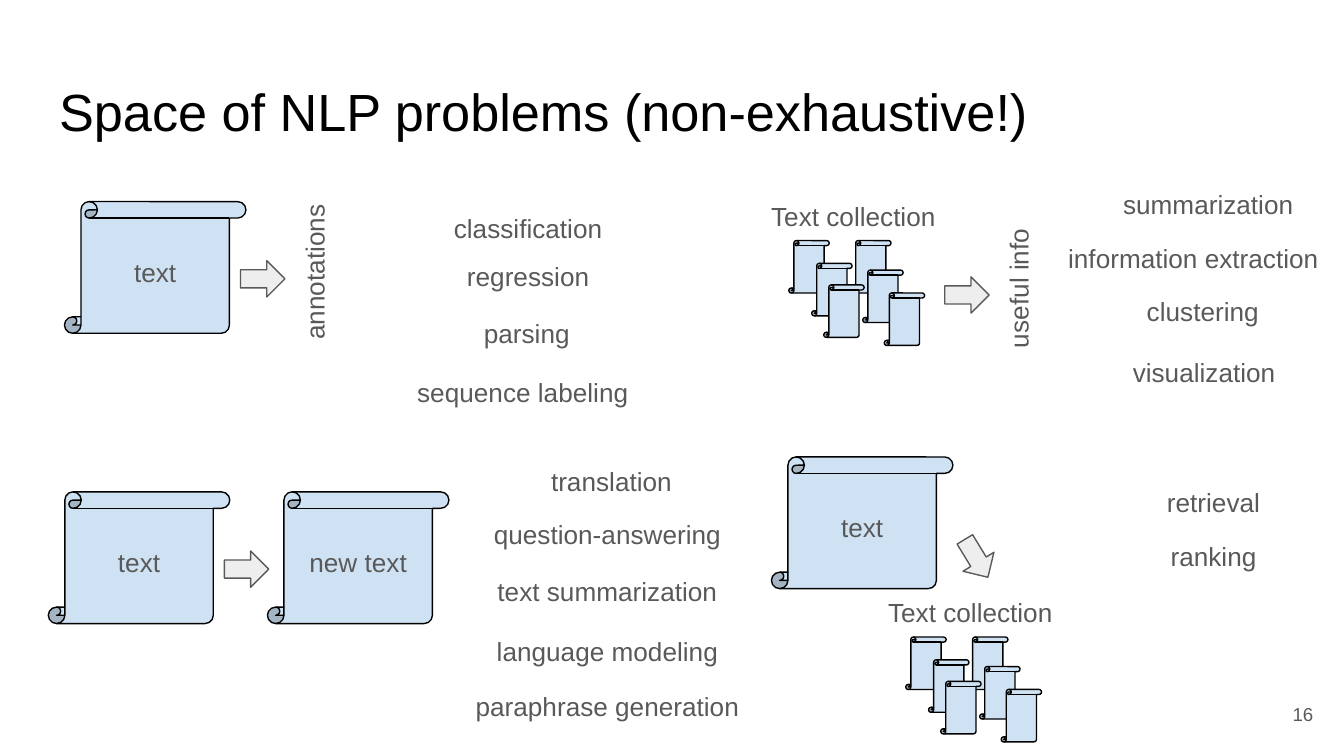
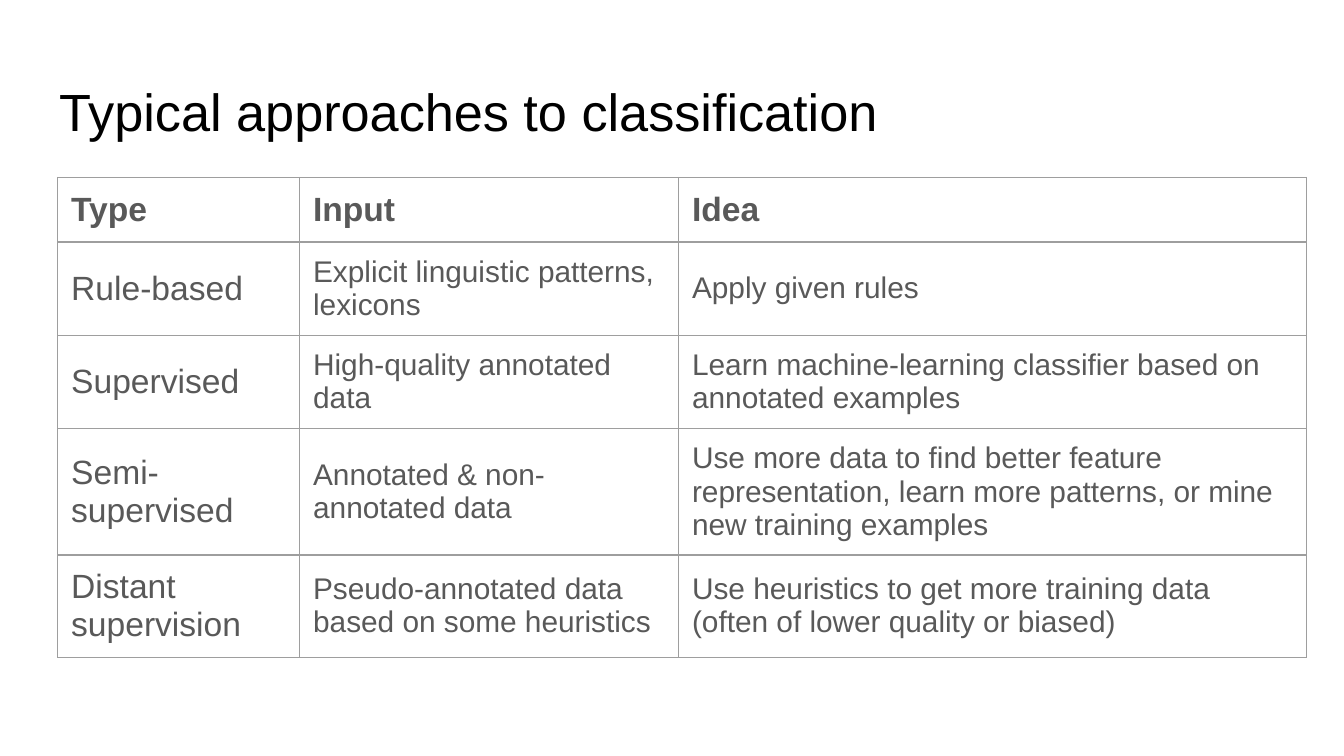
from dataclasses import dataclass
from typing import Any, NamedTuple

from lxml import etree
from pptx import Presentation
from pptx import util as u
from pptx.dml.color import RGBColor
from pptx.enum import shapes, text
from pptx.oxml.ns import qn

UNIT = u.Inches(0.1)
COLUMNS, ROWS = 100, 56.25
ALIGN, ANCHOR = text.PP_ALIGN, text.MSO_ANCHOR
SHAPE = shapes.MSO_SHAPE


@dataclass(frozen=True)
class Theme:
    font: str = "Arial"
    title_ink: str = "000000"
    ink: str = "595959"
    scroll_fill: str = "CFE2F3"
    scroll_line: str = "000000"
    arrow_fill: str = "EEEEEE"
    border: str = "9E9E9E"
    line_width: float = 0.75
    title_size: int = 28
    heading_size: int = 18
    cell_size: int = 16
    label_size: int = 14
    number_size: int = 10


class Box(NamedTuple):
    column: float
    row: float
    width: float
    height: float


class Spot(NamedTuple):
    column: float
    row: float

    def shifted(self, columns: float, rows: float) -> "Spot":
        return Spot(self.column + columns, self.row + rows)

    def sized(self, width: float, height: float) -> Box:
        return Box(*self, width, height)


class Label(NamedTuple):
    words: str
    spot: Spot
    width: float = 22


class Scroll(NamedTuple):
    words: str
    spot: Spot


class Arrow(NamedTuple):
    spot: Spot
    result: str = ""
    rotation: float = 0


THEME = Theme()
TITLE_BOX = Box(3.4, 4.9, 93.2, 6.3)
NUMBER_BOX = Box(92.7, 51, 6, 4.3)
SCROLL_SIZE, SMALL_SCROLL_SIZE = (13.5, 9.8), (3, 3.9)
ARROW_SIZE, RESULT_SIZE = (3.3, 2.7), (14.5, 4.5)
LABEL_HEIGHT = 4.5
FRAME_FORMAT = dict(
    word_wrap=True, auto_size=text.MSO_AUTO_SIZE.NONE,
    margin_left=UNIT, margin_right=UNIT, margin_top=UNIT, margin_bottom=UNIT,
)

SCROLLS = [
    Scroll("text", Spot(4.8, 15)),
    Scroll("text", Spot(3.6, 36.6)),
    Scroll("new text", Spot(19.9, 36.6)),
    Scroll("text", Spot(57.4, 34)),
]
ARROWS = [
    Arrow(Spot(17.9, 19.4), "annotations"),
    Arrow(Spot(16.7, 41)),
    Arrow(Spot(70.3, 20.6), "useful info"),
    Arrow(Spot(71, 40.2), rotation=58.6),
]
COLLECTIONS = [Spot(58.7, 17.9), Spot(67.4, 47.4)]
PILE = [(0, 0), (1.7, 1.7), (4.6, 0), (5.5, 2.2), (2.6, 3.3), (7.1, 3.9)]
PROBLEMS = [
    Label("classification", Spot(28.3, 14.8)),
    Label("regression", Spot(28.3, 18.4)),
    Label("parsing", Spot(28.2, 22.6)),
    Label("sequence labeling", Spot(27.9, 27)),
    Label("summarization", Spot(78.9, 13)),
    Label("information extraction", Spot(77.8, 17)),
    Label("clustering", Spot(78.5, 21)),
    Label("visualization", Spot(78.6, 25.5)),
    Label("translation", Spot(34.5, 33.6)),
    Label("question-answering", Spot(34.2, 37.6)),
    Label("text summarization", Spot(34.2, 41.8)),
    Label("language modeling", Spot(34.2, 46.3)),
    Label("paraphrase generation", Spot(34.2, 50.4)),
    Label("retrieval", Spot(81.5, 35.2), 17.6),
    Label("ranking", Spot(81.5, 39.2), 17.6),
]

TABLE_SPOT = Spot(4.3, 13.2)
TABLE_COLUMNS = [18, 28.2, 46.7]
TABLE_ROWS = [4.4, 5.6, 6.6, 9, 7.1]
APPROACHES = [
    ("Type", "Input", "Idea"),
    ("Rule-based", "Explicit linguistic patterns, lexicons", "Apply given rules"),
    ("Supervised", "High-quality annotated data",
     "Learn machine-learning classifier based on annotated examples"),
    ("Semi-\nsupervised", "Annotated & non-annotated data",
     "Use more data to find better feature representation, "
     "learn more patterns, or mine new training examples"),
    ("Distant supervision", "Pseudo-annotated data based on some heuristics",
     "Use heuristics to get more training data (often of lower quality or biased)"),
]


def grid(cells: float) -> int:
    return round(cells * UNIT)


def place(box: Box) -> list[int]:
    return [grid(length) for length in box]


def apply(target: Any, values: dict[str, Any]) -> None:
    for name, value in values.items():
        setattr(target, name, value)


def write(frame: Any, words: str, size: int, align: Any, ink: str = THEME.ink,
          bold: bool = False) -> None:
    para = frame.paragraphs[0]
    para.text = words
    para.alignment = align
    for span in para.runs:
        apply(span.font, dict(name=THEME.font, size=u.Pt(size), bold=bold))
        span.font.color.rgb = RGBColor.from_string(ink)


def add_text(page: Any, words: str, box: Box, size: int = THEME.label_size,
             align: Any = ALIGN.CENTER, anchor: Any = ANCHOR.TOP, rotation: float = 0) -> None:
    area = page.shapes.add_textbox(*place(box))
    area.rotation = rotation
    apply(area.text_frame, FRAME_FORMAT | dict(vertical_anchor=anchor))
    write(area.text_frame, words, size, align)


def add_shape(page: Any, preset: Any, box: Box, fill: str, line: str) -> Any:
    shape = page.shapes.add_shape(preset, *place(box))
    shape.shadow.inherit = False
    shape.fill.solid()
    shape.fill.fore_color.rgb = RGBColor.from_string(fill)
    shape.line.color.rgb = RGBColor.from_string(line)
    shape.line.width = u.Pt(THEME.line_width)
    return shape


def add_scroll(page: Any, box: Box, words: str = "") -> None:
    shape = add_shape(page, SHAPE.VERTICAL_SCROLL, box, THEME.scroll_fill, THEME.scroll_line)
    if words:
        apply(shape.text_frame, FRAME_FORMAT | dict(vertical_anchor=ANCHOR.MIDDLE))
        write(shape.text_frame, words, THEME.label_size, ALIGN.CENTER)


def add_arrow(page: Any, arrow: Arrow) -> None:
    shape = add_shape(page, SHAPE.RIGHT_ARROW, arrow.spot.sized(*ARROW_SIZE),
                      THEME.arrow_fill, THEME.ink)
    shape.rotation = arrow.rotation
    if arrow.result:
        box = arrow.spot.shifted(-1.7, -1.4).sized(*RESULT_SIZE)
        add_text(page, arrow.result, box, rotation=270)


def add_collection(page: Any, spot: Spot) -> None:
    for offset in PILE:
        add_scroll(page, spot.shifted(*offset).sized(*SMALL_SCROLL_SIZE))
    add_text(page, "Text collection", spot.shifted(-6.2, -4).sized(22, LABEL_HEIGHT))


def add_page(deck: Any, heading: str) -> Any:
    page = deck.slides.add_slide(deck.slide_layouts.get_by_name("Title Only"))
    title = page.shapes.title
    apply(title, dict(zip(("left", "top", "width", "height"), place(TITLE_BOX))))
    apply(title.text_frame, FRAME_FORMAT | dict(vertical_anchor=ANCHOR.TOP))
    write(title.text_frame, heading, THEME.title_size, ALIGN.LEFT, THEME.title_ink)
    return page


def add_borders(cell: Any) -> None:
    props = cell._tc.get_or_add_tcPr()
    for position, side in enumerate(("lnL", "lnR", "lnT", "lnB")):
        line = etree.Element(qn(f"a:{side}"), w=str(u.Pt(THEME.line_width)))
        fill = etree.SubElement(line, qn("a:solidFill"))
        etree.SubElement(fill, qn("a:srgbClr"), val=THEME.border)
        props.insert(position, line)


def add_approaches(page: Any) -> None:
    box = TABLE_SPOT.sized(sum(TABLE_COLUMNS), sum(TABLE_ROWS))
    table = page.shapes.add_table(len(TABLE_ROWS), len(TABLE_COLUMNS), *place(box)).table
    apply(table, dict(first_row=False, horz_banding=False))
    for column, width in zip(table.columns, TABLE_COLUMNS):
        column.width = grid(width)
    for row, height in zip(table.rows, TABLE_ROWS):
        row.height = grid(height)
    margins = {name: value for name, value in FRAME_FORMAT.items() if name.startswith("margin")}
    for r, entries in enumerate(APPROACHES):
        for c, words in enumerate(entries):
            cell = table.cell(r, c)
            apply(cell, margins | dict(vertical_anchor=ANCHOR.MIDDLE))
            cell.fill.background()
            add_borders(cell)
            size = THEME.cell_size if r and c else THEME.heading_size
            write(cell.text_frame, words, size, ALIGN.LEFT, bold=r == 0)


def add_problem_space(page: Any) -> None:
    for scroll in SCROLLS:
        add_scroll(page, scroll.spot.sized(*SCROLL_SIZE), scroll.words)
    for spot in COLLECTIONS:
        add_collection(page, spot)
    for arrow in ARROWS:
        add_arrow(page, arrow)
    for label in PROBLEMS:
        add_text(page, label.words, label.spot.sized(label.width, LABEL_HEIGHT))
    add_text(page, "16", NUMBER_BOX, THEME.number_size, ALIGN.RIGHT, ANCHOR.MIDDLE)


def main() -> None:
    deck = Presentation()
    apply(deck, dict(slide_width=grid(COLUMNS), slide_height=grid(ROWS)))
    add_problem_space(add_page(deck, "Space of NLP problems (non-exhaustive!)"))
    add_approaches(add_page(deck, "Typical approaches to classification"))
    deck.save("out.pptx")


if __name__ == "__main__":
    main()
